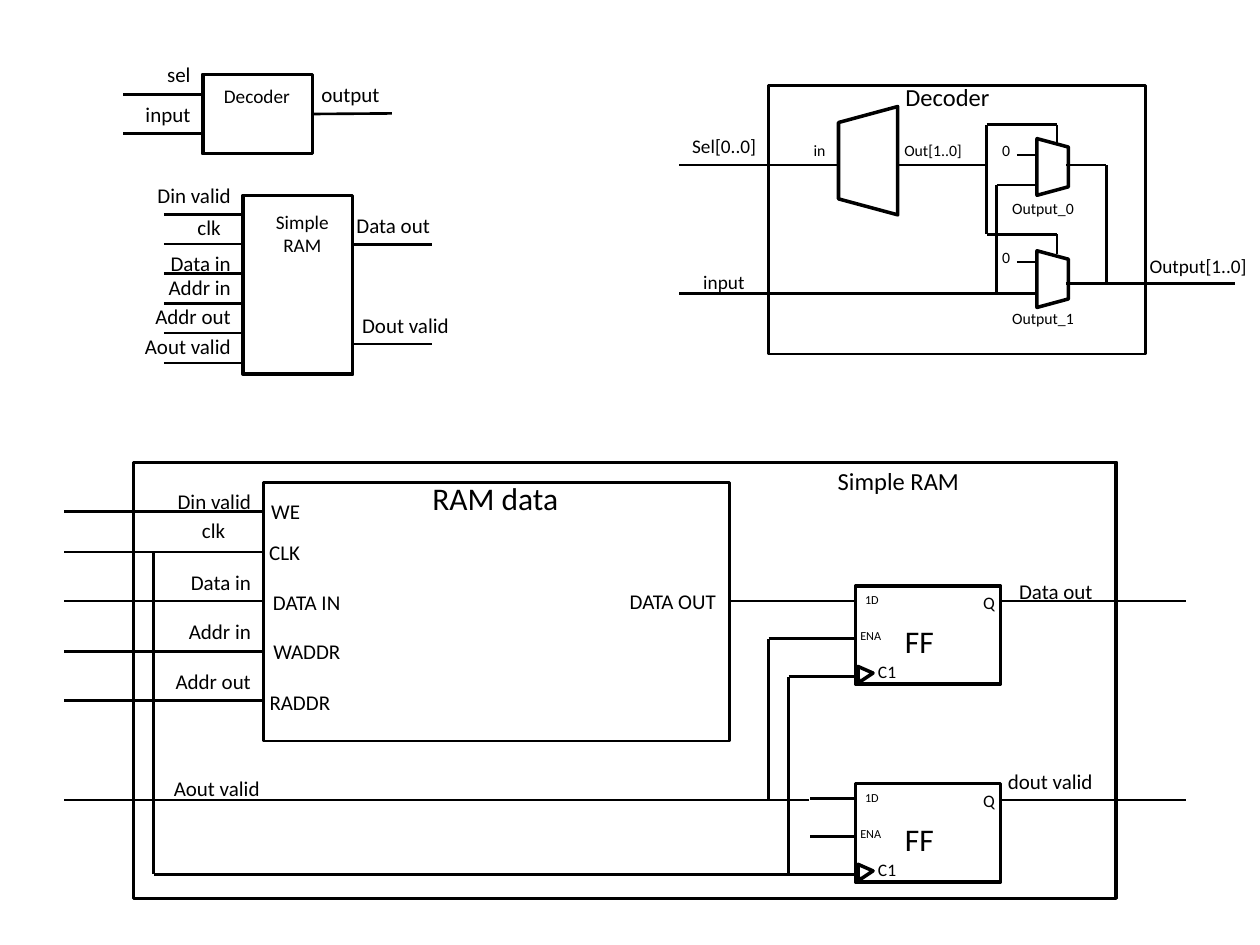
from itertools import pairwise
from typing import Any, NamedTuple

from lxml.etree import SubElement
from pptx import Presentation
from pptx.dml.color import RGBColor
from pptx.enum.shapes import MSO_CONNECTOR, MSO_SHAPE
from pptx.enum.text import MSO_AUTO_SIZE, PP_ALIGN
from pptx.oxml.ns import qn
from pptx.util import Inches, Pt

COLORS = {"ink": "000000"}
FONT = "Calibri"
LINE_HEIGHT = 0.3
RIGHT, CENTER = PP_ALIGN.RIGHT, PP_ALIGN.CENTER


class Label(NamedTuple):
    text: str
    left: float
    top: float
    width: float
    size: float = 12
    align: PP_ALIGN = RIGHT
    height: float = LINE_HEIGHT


class Outline(NamedTuple):
    left: float
    top: float
    width: float
    height: float
    weight: float = 2
    kind: MSO_SHAPE = MSO_SHAPE.RECTANGLE
    rotation: float = 0


def ink() -> RGBColor:
    return RGBColor.from_string(COLORS["ink"])


def draw_outline(shapes: Any, outline: Outline) -> Any:
    shape = shapes.add_shape(outline.kind, *(Inches(value) for value in outline[:4]))
    shape.shadow.inherit = False
    shape.fill.background()
    shape.line.color.rgb = ink()
    shape.line.width = Pt(outline.weight)
    shape.rotation = outline.rotation
    if outline.kind == MSO_SHAPE.TRAPEZOID:
        shape.adjustments[0] = 0.27
    return shape


def draw_label(shapes: Any, label: Label) -> None:
    box = shapes.add_textbox(Inches(label.left), Inches(label.top),
                             Inches(label.width), Inches(label.height))
    frame = box.text_frame
    frame.text = label.text
    frame.word_wrap = True
    frame.auto_size = MSO_AUTO_SIZE.SHAPE_TO_FIT_TEXT
    if label.align == RIGHT:
        frame.margin_left = 0
    paragraph = frame.paragraphs[0]
    paragraph.alignment = label.align
    font = paragraph.runs[0].font
    font.name, font.size = FONT, Pt(label.size)
    font.color.rgb = ink()


def draw_line(shapes: Any, x1: float, y1: float, x2: float, y2: float) -> Any:
    line = shapes.add_connector(MSO_CONNECTOR.STRAIGHT, Inches(x1), Inches(y1),
                                Inches(x2), Inches(y2))
    line.line.color.rgb = ink()
    line.line.width = Pt(1.5)
    SubElement(line._element.spPr, qn("a:effectLst"))
    return line


def draw_wire(shapes: Any, *points: tuple[float, float]) -> None:
    for start, end in pairwise(points):
        draw_line(shapes, *start, *end)


def draw_decoder_symbol(shapes: Any) -> None:
    body = draw_outline(shapes, Outline(1.61, 0.59, 0.87, 0.63))
    for y in (0.75, 1.06):
        draw_line(shapes, 0.98, y, 1.61, y)
    draw_line(shapes, 2.48, 0.9, 3.11, 0.9).begin_connect(body, 3)
    for label in (
        Label("Decoder", 1.46, 0.62, 0.94, 11),
        Label("sel", 1.22, 0.44, 0.39),
        Label("input", 0.98, 0.76, 0.63),
        Label("output", 2.4, 0.6, 0.71),
    ):
        draw_label(shapes, label)


def draw_ram_symbol(shapes: Any) -> None:
    draw_outline(shapes, Outline(1.93, 1.55, 0.87, 1.42))
    draw_label(shapes, Label("Simple RAM", 1.93, 1.62, 0.94, 11, CENTER, 0.47))
    inputs = (("Din valid", 1.93, 1.4), ("clk", 1.85, 1.65), ("Data in", 1.93, 1.94),
              ("Addr in", 1.93, 2.13), ("Addr out", 1.93, 2.36), ("Aout valid", 1.93, 2.6))
    for index, (text, right, top) in enumerate(inputs):
        y = 1.7 + index * 0.236
        draw_line(shapes, 1.3, y, 1.93, y)
        draw_label(shapes, Label(text, right - 0.94, top, 0.94))
    for text, width, y in (("Data out", 0.79, 1.94), ("Dout valid", 0.94, 2.73)):
        draw_line(shapes, 2.8, y, 3.43, y)
        draw_label(shapes, Label(text, 2.72, y - LINE_HEIGHT, width))


def draw_decoder(shapes: Any) -> None:
    draw_outline(shapes, Outline(6.1, 0.68, 2.99, 2.13, 1.5))
    draw_outline(shapes, Outline(6.46, 1.04, 0.86, 0.47, 2, MSO_SHAPE.TRAPEZOID, 270))
    for top in (1.2, 2.09):
        draw_outline(shapes, Outline(8.13, top, 0.45, 0.25, 2, MSO_SHAPE.TRAPEZOID, 90))
    for wire in (
        ((5.39, 1.31), (6.65, 1.31)),
        ((5.39, 2.33), (8.23, 2.33)),
        ((7.13, 1.31), (7.83, 1.31), (7.83, 0.99), (8.39, 0.99), (8.39, 1.15)),
        ((7.83, 1.31), (7.83, 1.86), (8.39, 1.86), (8.39, 2.02)),
        ((7.91, 2.33), (7.91, 1.47), (8.23, 1.47)),
        ((8.07, 1.23), (8.23, 1.23)),
        ((8.07, 2.08), (8.23, 2.08)),
        ((8.46, 1.31), (8.78, 1.31), (8.78, 2.25)),
        ((8.46, 2.25), (9.8, 2.25)),
    ):
        draw_wire(shapes, *wire)
    for label in (
        Label("Sel[0..0]", 5.39, 1.02, 0.71, 11),
        Label("input", 5.39, 2.1, 0.71, 11, CENTER),
        Label("in", 6.34, 1.07, 0.31, 9),
        Label("Out[1..0]", 7.05, 1.07, 0.71, 9, CENTER),
        Label("0", 7.83, 1.07, 0.31, 9, CENTER),
        Label("0", 7.83, 1.92, 0.31, 9, CENTER),
        Label("Output_0", 7.91, 1.53, 0.71, 9),
        Label("Output_1", 7.91, 2.4, 0.71, 9),
        Label("Decoder", 6.81, 0.6, 1.42, 14, CENTER),
        Label("Output[1..0]", 8.98, 1.97, 1.06, 11, CENTER),
    ):
        draw_label(shapes, label)


def draw_flip_flop(shapes: Any, top: float) -> None:
    draw_outline(shapes, Outline(6.79, top, 1.15, 0.78))
    draw_outline(shapes, Outline(6.77, top + 0.63, 0.14, 0.11, 2,
                                 MSO_SHAPE.ISOSCELES_TRIANGLE, 326.2))
    for drop in (0.12, 0.42, 0.72):
        draw_line(shapes, 6.43, top + drop, 6.79, top + drop)
    for label in (
        Label("FF", 7.05, top + 0.24, 0.46, 18, RIGHT, 0.4),
        Label("C1", 6.82, top + 0.55, 0.44, 10, CENTER, 0.27),
        Label("1D", 6.71, top, 0.42, 7, CENTER, 0.22),
        Label("ENA", 6.7, top + 0.29, 0.42, 7, CENTER, 0.22),
        Label("Q", 7.7, top, 0.3, 10, CENTER, 0.21),
    ):
        draw_label(shapes, label)


def draw_ram(shapes: Any) -> None:
    draw_outline(shapes, Outline(1.06, 3.67, 7.8, 3.46))
    draw_outline(shapes, Outline(2.09, 3.83, 3.7, 2.05, 1.5))
    for top in (4.65, 6.22):
        draw_flip_flop(shapes, top)
    for y in (4.06, 4.38, 4.77, 5.17, 5.56):
        draw_line(shapes, 0.51, y, 2.09, y)
    for wire in (
        ((5.79, 4.77), (6.5, 4.77)),
        ((0.51, 6.35), (6.42, 6.35)),
        ((6.1, 6.35), (6.1, 5.07), (6.57, 5.07)),
        ((1.22, 4.38), (1.22, 6.94), (6.5, 6.94)),
        ((6.26, 6.94), (6.26, 5.37), (6.74, 5.37)),
        ((7.95, 4.77), (9.41, 4.77)),
        ((7.95, 6.35), (9.41, 6.35)),
    ):
        draw_wire(shapes, *wire)
    for label in (
        Label("Din valid", 1.3, 3.83, 0.79),
        Label("clk", 1.3, 4.06, 0.79, align=CENTER),
        Label("Data in", 1.3, 4.47, 0.79),
        Label("Addr in", 1.3, 4.86, 0.79),
        Label("Addr out", 1.22, 5.26, 0.87),
        Label("Aout valid", 1.22, 6.11, 0.94),
        Label("WE", 1.93, 3.91, 0.55),
        Label("CLK", 1.93, 4.23, 0.55),
        Label("DATA IN", 2.01, 4.63, 0.79),
        Label("WADDR", 2.01, 5.02, 0.79),
        Label("RADDR", 2.01, 5.42, 0.71),
        Label("DATA OUT", 4.84, 4.62, 0.94),
        Label("RAM data", 3.27, 3.75, 1.26, 18, RIGHT, 0.4),
        Label("Data out", 7.83, 4.54, 0.94),
        Label("dout valid", 7.83, 6.05, 0.94),
        Label("Simple RAM", 6.42, 3.65, 1.42, 14, CENTER),
    ):
        draw_label(shapes, label)


def main() -> None:
    """Draw the decoder and simple RAM block diagrams on one slide."""
    deck = Presentation()
    deck.slide_width, deck.slide_height = Inches(10), Inches(7.5)
    page = deck.slides.add_slide(deck.slide_layouts[6])
    for draw in (draw_decoder, draw_ram, draw_decoder_symbol):
        draw(page.shapes.add_group_shape().shapes)
    draw_ram_symbol(page.shapes)
    deck.save("out.pptx")


if __name__ == "__main__":
    main()
